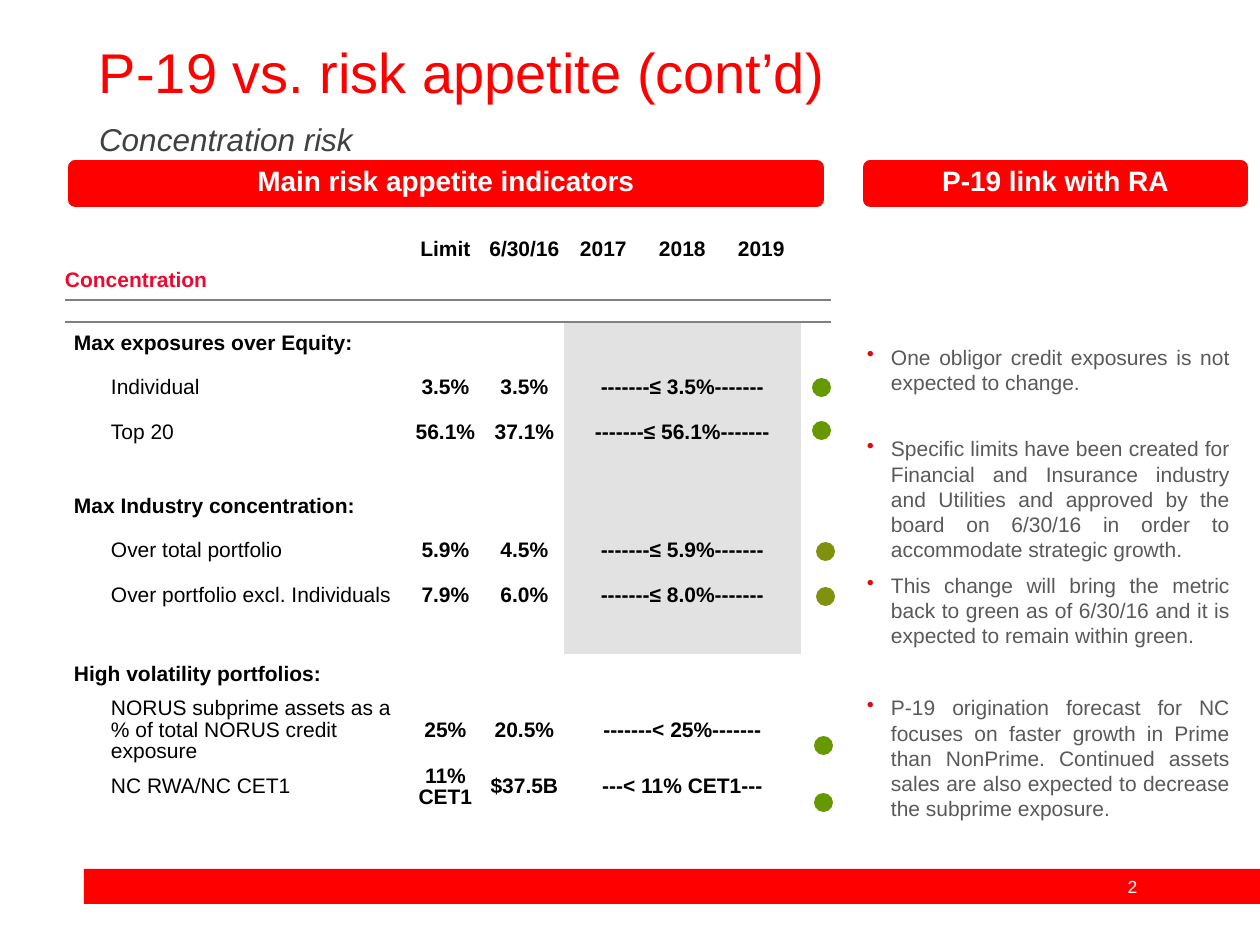
from itertools import product

from lxml import etree
from pptx import Presentation
from pptx.dml.color import RGBColor
from pptx.enum.shapes import MSO_SHAPE as SHAPE
from pptx.enum.text import MSO_ANCHOR as ANCHOR, PP_ALIGN as ALIGN
from pptx.oxml.ns import qn
from pptx.util import Emu, Pt

SCALE = 914400 / 126
RED, GRAY, GREEN, OLIVE = "FF0000", "E3E2E2", "669900", "80910D"
PLAIN_STYLE = "{2D5ABB26-0587-4C30-8999-92F81FD0307C}"

BANNERS = [("Main risk appetite indicators", 67, 758), ("P-19 link with RA", 862, 387)]
COLUMN_WIDTHS = [9, 323, 9, 79, 79, 79, 79, 79, 30]
HEADINGS = ["Limit", "6/30/16", "2017", "2018", "2019"]
# height, label, values (limit, actual, forecast), shaded forecast
ROWS = [
    (44, "Max exposures over Equity:", (), True),
    (45, "Individual", ("3.5%", "3.5%", "-------≤ 3.5%-------"), True),
    (44, "Top 20", ("56.1%", "37.1%", "-------≤ 56.1%-------"), True),
    (30, "", (), True),
    (44, "Max Industry concentration:", (), True),
    (45, "Over total portfolio", ("5.9%", "4.5%", "-------≤ 5.9%-------"), True),
    (44, "Over portfolio excl. Individuals", ("7.9%", "6.0%", "-------≤ 8.0%-------"), True),
    (36, "", (), True),
    (43, "High volatility portfolios:", (), False),
    (64, "NORUS subprime assets as a % of total NORUS credit exposure",
     ("25%", "20.5%", "-------< 25%-------"), False),
    (44, "NC RWA/NC CET1", ("11% CET1", "$37.5B", "---< 11% CET1---"), False),
]
HEAD_HEIGHTS = [23, 38, 22]
LIGHTS = [(812, 378, GREEN), (812, 421, GREEN), (816, 542, OLIVE),
          (816, 587, OLIVE), (814, 736, GREEN), (814, 793, GREEN)]
NOTES = [
    (338, ["One obligor credit exposures is not expected to change."]),
    (430, ["Specific limits have been created for Financial and Insurance industry and Utilities "
           "and approved by the board on 6/30/16 in order to accommodate strategic growth.",
           "This change will bring the metric back to green as of 6/30/16 and it is expected to "
           "remain within green."]),
    (689, ["P-19 origination forecast for NC focuses on faster growth in Prime than NonPrime. "
           "Continued assets sales are also expected to decrease the subprime exposure."]),
]


def px(value):
    return Emu(round(value * SCALE))


def color(value):
    return RGBColor.from_string(value)


def write(frame, texts, size=12, fill="000000", bold=False, italic=False, align=ALIGN.LEFT,
          spacing=None, indent=0, bullet=None, anchor=ANCHOR.TOP, insets=(13, 6, 13, 6)):
    frame.word_wrap = True
    frame.vertical_anchor = anchor
    (frame.margin_left, frame.margin_top,
     frame.margin_right, frame.margin_bottom) = map(px, insets)
    for index, text in enumerate(texts):
        paragraph = frame.add_paragraph() if index else frame.paragraphs[0]
        properties = paragraph._p.get_or_add_pPr()
        properties.set("marL", str(px(indent)))
        properties.set("indent", str(px(-indent if bullet else 0)))
        if bullet:
            bullet_color = etree.SubElement(properties, qn("a:buClr"))
            etree.SubElement(bullet_color, qn("a:srgbClr"), val=bullet)
            etree.SubElement(properties, qn("a:buChar"), char="•")
        paragraph.alignment = align
        if spacing:
            paragraph.line_spacing = spacing
        if index:
            paragraph.space_before = Pt(6)
        run = paragraph.add_run()
        run.text = text
        font = run.font
        font.name, font.size, font.bold, font.italic = "Arial", Pt(size), bold, italic
        font.color.rgb = color(fill)


def add_text(slide, box, texts, **style):
    write(slide.shapes.add_textbox(*map(px, box)).text_frame, texts, **style)


def add_shape(slide, kind, box, fill, line=None):
    shape = slide.shapes.add_shape(kind, *map(px, box))
    shape.shadow.inherit = False
    shape.fill.solid()
    shape.fill.fore_color.rgb = color(fill)
    if line:
        shape.line.color.rgb = color(line)
        shape.line.width = Pt(1)
    else:
        shape.line.fill.background()
    return shape


def add_border(cell, side):
    line = etree.Element(qn(f"a:{side}"), w=str(Pt(1.5)))
    solid = etree.SubElement(line, qn("a:solidFill"))
    etree.SubElement(solid, qn("a:srgbClr"), val="808080")
    cell._tc.get_or_add_tcPr().insert(0, line)


def add_indicators(slide):
    heights = HEAD_HEIGHTS + [row[0] for row in ROWS]
    table = slide.shapes.add_table(len(heights), len(COLUMN_WIDTHS), px(65), px(239),
                                   px(sum(COLUMN_WIDTHS)), px(sum(heights))).table
    table.first_row = table.horz_banding = False
    table._tbl.tblPr.find(qn("a:tableStyleId")).text = PLAIN_STYLE
    for column, width in zip(table.columns, COLUMN_WIDTHS):
        column.width = px(width)
    for row, height in zip(table.rows, heights):
        row.height = px(height)
    for row, column in product(range(len(heights)), range(len(COLUMN_WIDTHS))):
        cell = table.cell(row, column)
        cell.margin_left = cell.margin_top = cell.margin_right = cell.margin_bottom = 0
        cell.text_frame.paragraphs[0]._p.get_or_add_endParaRPr().set("sz", "600")
        if row >= 3 and ROWS[row - 3][3] and column in (5, 6, 7):
            cell.fill.solid()
            cell.fill.fore_color.rgb = color(GRAY)
        else:
            cell.fill.background()
        if row in (1, 2):
            add_border(cell, "lnB" if row == 1 else "lnT")

    def fill_cell(row, column, text, **style):
        cell = table.cell(row, column)
        write(cell.text_frame, [text], spacing=0.9, insets=(0, 0, 0, 0), **style)
        cell.vertical_anchor = ANCHOR.MIDDLE

    for column, text in enumerate(HEADINGS, 3):
        fill_cell(0, column, text, bold=True, align=ALIGN.CENTER)
    for row in (1, 2):
        table.cell(row, 0).merge(table.cell(row, 1))
    fill_cell(1, 0, "Concentration", bold=True, fill="ED092F")
    for row, (_, label, values, _) in enumerate(ROWS, 3):
        if label:
            fill_cell(row, 1, label, bold=not values, indent=37 if values else 0)
        if values:
            table.cell(row, 5).merge(table.cell(row, 7))
        for column, text in enumerate(values, 3):
            fill_cell(row, column, text, bold=True, align=ALIGN.CENTER)


def main():
    """Build the concentration risk slide."""
    presentation = Presentation()
    presentation.slide_width, presentation.slide_height = px(1260), px(945)
    slide = presentation.slides.add_slide(presentation.slide_layouts[6])

    add_shape(slide, SHAPE.RECTANGLE, (84, 869, 1176, 35), RED)
    add_text(slide, (1097, 869, 71, 34), ["2"], size=10, fill="FFFFFF",
             align=ALIGN.CENTER, anchor=ANCHOR.MIDDLE)
    add_text(slide, (86, 39, 1086, 72), ["P-19 vs. risk appetite (cont’d)"],
             size=32, fill=RED, spacing=0.9)
    add_text(slide, (86, 118, 1087, 52), ["Concentration risk"],
             size=18, fill="404040", italic=True, spacing=0.9)
    for text, left, width in BANNERS:
        banner = add_shape(slide, SHAPE.ROUNDED_RECTANGLE, (left, 159, width, 49), RED, "FFFFFF")
        write(banner.text_frame, [text], size=16, fill="FFFFFF", bold=True, align=ALIGN.CENTER,
              spacing=Pt(16), anchor=ANCHOR.MIDDLE, insets=(5, 6, 5, 6))
    add_indicators(slide)
    for left, top, fill in LIGHTS:
        add_shape(slide, SHAPE.OVAL, (left, top, 19, 19), fill)
    for top, texts in NOTES:
        add_text(slide, (862, top, 381, 105), texts, fill="595959", align=ALIGN.JUSTIFY,
                 indent=24, bullet="DB0B11", insets=(5, 6, 13, 6))
    presentation.save("out.pptx")


if __name__ == "__main__":
    main()
